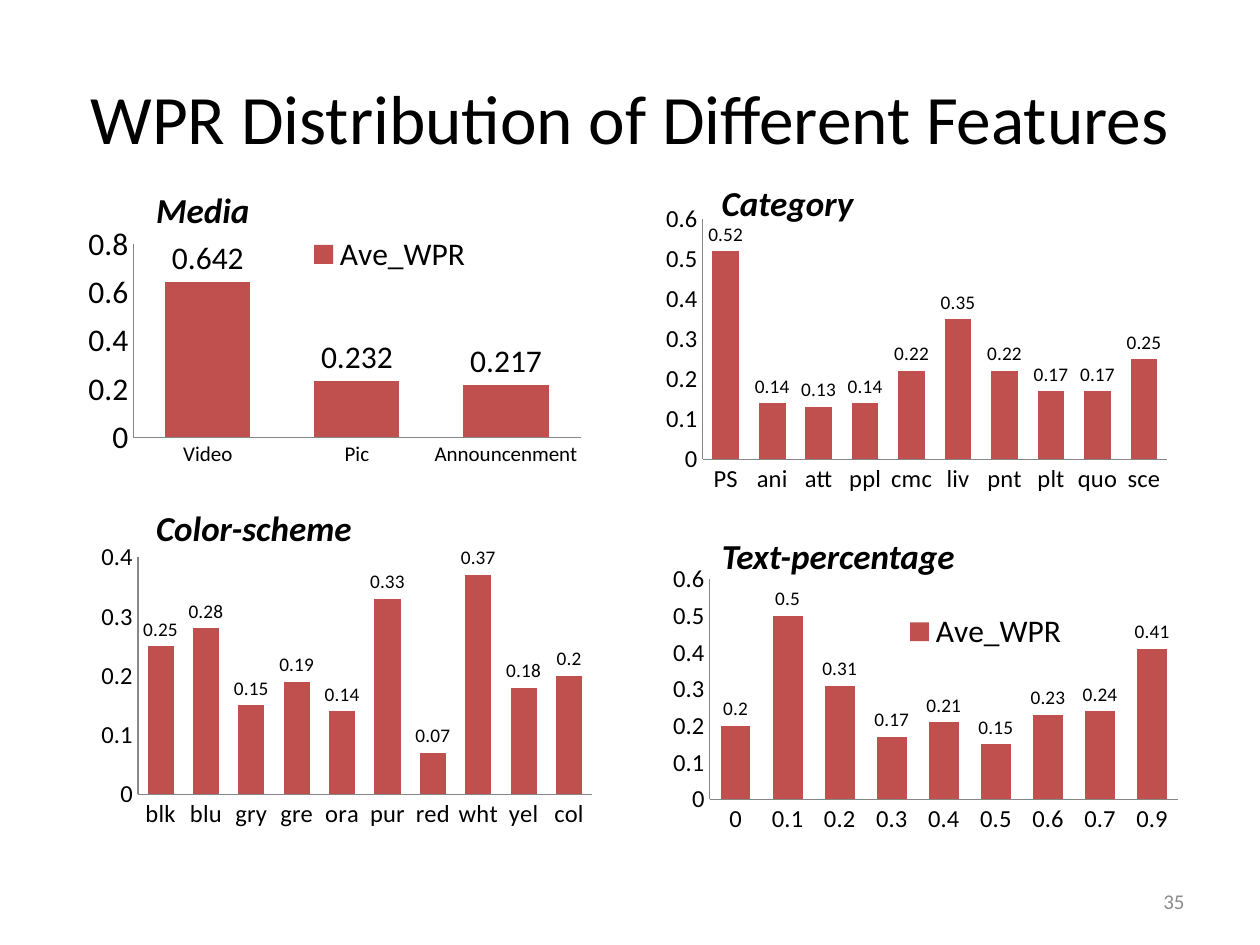
from lxml import etree
from pptx import Presentation
from pptx.chart.data import CategoryChartData
from pptx.dml.color import RGBColor
from pptx.enum.chart import XL_CHART_TYPE, XL_LABEL_POSITION, XL_LEGEND_POSITION, XL_TICK_MARK
from pptx.enum.text import MSO_ANCHOR, PP_ALIGN
from pptx.oxml.ns import qn
from pptx.util import Inches, Pt

COLUMNS = XL_CHART_TYPE.COLUMN_CLUSTERED
OUTSIDE = XL_LABEL_POSITION.OUTSIDE_END
BOTTOM = XL_LEGEND_POSITION.BOTTOM
NO_TICK = XL_TICK_MARK.NONE
MIDDLE, TOP = MSO_ANCHOR.MIDDLE, MSO_ANCHOR.TOP
LEFT, CENTER, RIGHT = PP_ALIGN.LEFT, PP_ALIGN.CENTER, PP_ALIGN.RIGHT

FONT = "Calibri"
COLORS = {"text": "000000", "bar": "C0504D", "axis": "868686", "number": "8C8C8C"}
CHART_W, CHART_H = 4.33, 2.36
HEAD_X = (1.14, 5.63)  # heading left edge in each column

# One panel per feature; plot and legend are shares of the chart's size
PANELS = [
    dict(head="Media", head_at=(HEAD_X[0], 1.45, 1.1), at=(0.43, 1.7),
         cats=["Video", "Pic", "Announcenment"], vals=[0.642, 0.232, 0.217],
         top=0.8, unit=0.2, sizes=(12, 18, 18),
         plot=(0.145, 0.101, 0.82, 0.65), legend=(0.44, 0.07, 0.35, 0.13)),
    dict(head="Category", head_at=(HEAD_X[1], 1.39, 2.13), at=(5.16, 1.62),
         cats=["PS", "ani", "att", "ppl", "cmc", "liv", "pnt", "plt", "quo", "sce"],
         vals=[0.52, 0.14, 0.13, 0.14, 0.22, 0.35, 0.22, 0.17, 0.17, 0.25],
         top=0.6, plot=(0.096, 0.05, 0.852, 0.808)),
    dict(head="Color-scheme", head_at=(HEAD_X[0], 3.97, 2.13), at=(0.51, 4.3),
         cats=["blk", "blu", "gry", "gre", "ora", "pur", "red", "wht", "yel", "col"],
         vals=[0.25, 0.28, 0.15, 0.19, 0.14, 0.33, 0.07, 0.37, 0.18, 0.2],
         top=0.4, gap=74, plot=(0.135, 0.052, 0.832, 0.798)),
    dict(head="Text-percentage", head_at=(HEAD_X[1], 4.19, 2.52), at=(5.16, 4.46),
         cats=[0, 0.1, 0.2, 0.3, 0.4, 0.5, 0.6, 0.7, 0.9],
         vals=[0.2, 0.5, 0.31, 0.17, 0.21, 0.15, 0.23, 0.24, 0.41],
         top=0.6, plot=(0.109, 0.058, 0.859, 0.741), legend=(0.44, 0.17, 0.35, 0.13)),
]


def rgb(name):
    return RGBColor.from_string(COLORS[name])


def place(shape, *box):
    shape.left, shape.top, shape.width, shape.height = map(Inches, box)


def format_font(font, size, color="text", bold=False, italic=False):
    font.name, font.size, font.bold, font.italic = FONT, Pt(size), bold, italic
    font.color.rgb = rgb(color)


def write(shape, text, size, align=LEFT, anchor=TOP, **style):
    tf = shape.text_frame
    tf.word_wrap = True
    tf.vertical_anchor = anchor
    p = tf.paragraphs[0]
    p.alignment = align
    r = p.add_run()
    r.text = text
    format_font(r.font, size, **style)


def add_text(slide, box, text, size, **style):
    write(slide.shapes.add_textbox(*map(Inches, box)), text, size, **style)


def set_layout(parent, before, box, inner=False):
    """Fix a chart part's place by shares of the chart's size."""
    for old in parent.findall(qn("c:layout")):
        parent.remove(old)
    layout = etree.Element(qn("c:layout"))
    manual = etree.SubElement(layout, qn("c:manualLayout"))
    items = [("layoutTarget", "inner")] if inner else []
    items += [("xMode", "edge"), ("yMode", "edge"), *zip("xywh", box)]
    for tag, val in items:
        etree.SubElement(manual, qn("c:" + tag)).set("val", str(val))
    before.addprevious(layout)


def format_axis(axis, size):
    axis.has_major_gridlines = False
    axis.major_tick_mark = axis.minor_tick_mark = NO_TICK
    axis.format.line.color.rgb = rgb("axis")
    axis.format.line.width = Pt(0.75)
    format_font(axis.tick_labels.font, size)


def add_column_chart(slide, at, cats, vals, top, plot, unit=0.1, gap=75,
                     sizes=(14, 14, 11), legend=None):
    data = CategoryChartData()
    data.categories = cats
    data.add_series("Ave_WPR", vals)
    box = map(Inches, (*at, CHART_W, CHART_H))
    chart = slide.shapes.add_chart(COLUMNS, *box, data).chart
    chart.has_title = False
    format_font(chart.font, 18)
    cat_size, val_size, label_size = sizes

    # Axes
    format_axis(chart.category_axis, cat_size)
    axis = chart.value_axis
    format_axis(axis, val_size)
    axis.minimum_scale, axis.maximum_scale, axis.major_unit = 0, top, unit

    # Bars and their values
    bars = chart.plots[0]
    bars.gap_width = gap
    bars.vary_by_categories = False
    fill = bars.series[0].format.fill
    fill.solid()
    fill.fore_color.rgb = rgb("bar")
    bars.has_data_labels = True
    labels = bars.data_labels
    labels.show_value = True
    labels.position = OUTSIDE
    format_font(labels.font, label_size)
    area = bars.series[0].format.fill and chart.element.find(".//" + qn("c:plotArea"))
    set_layout(area, area.find(qn("c:barChart")), plot, inner=True)

    # Legend
    chart.has_legend = legend is not None
    if legend:
        chart.legend.position = BOTTOM
        chart.legend.include_in_layout = False
        format_font(chart.legend.font, 18)
        node = chart.element.find(".//" + qn("c:legend"))
        set_layout(node, node.find(qn("c:overlay")), legend)


def add_panel(slide, head, head_at, **chart):
    add_column_chart(slide, **chart)
    add_text(slide, (*head_at, 0.44), head, 20, bold=True, italic=True)


def main():
    prs = Presentation()
    prs.slide_width, prs.slide_height = Inches(10), Inches(7.5)
    slide = prs.slides.add_slide(prs.slide_layouts[5])

    # Title
    title = slide.shapes.title
    place(title, 0.5, 0.3, 9, 1.25)
    write(title, "WPR Distribution of Different Features", 39.6, align=CENTER, anchor=MIDDLE)

    # Feature charts
    for panel in PANELS:
        add_panel(slide, **panel)

    # Slide number
    add_text(slide, (7.17, 6.95, 2.33, 0.4), "35", 12, align=RIGHT, anchor=MIDDLE,
             color="number")
    prs.save("out.pptx")


if __name__ == "__main__":
    main()
